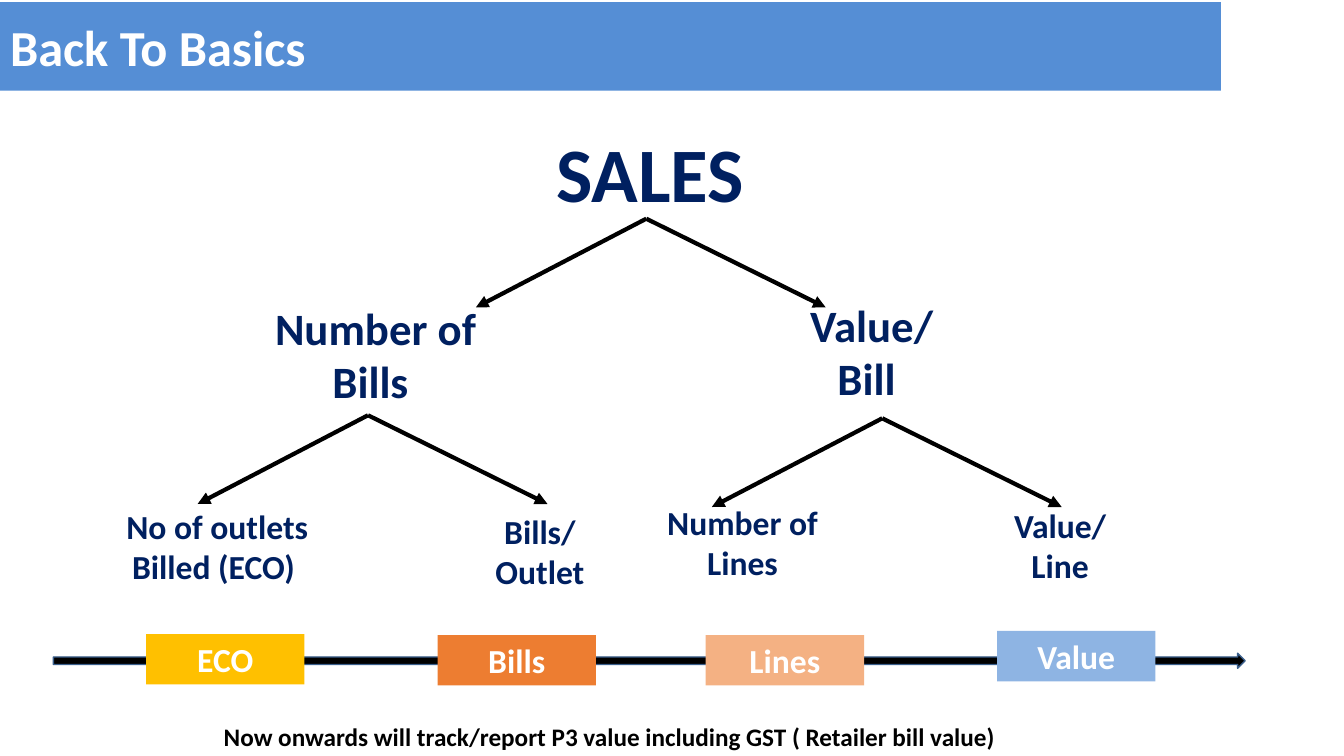
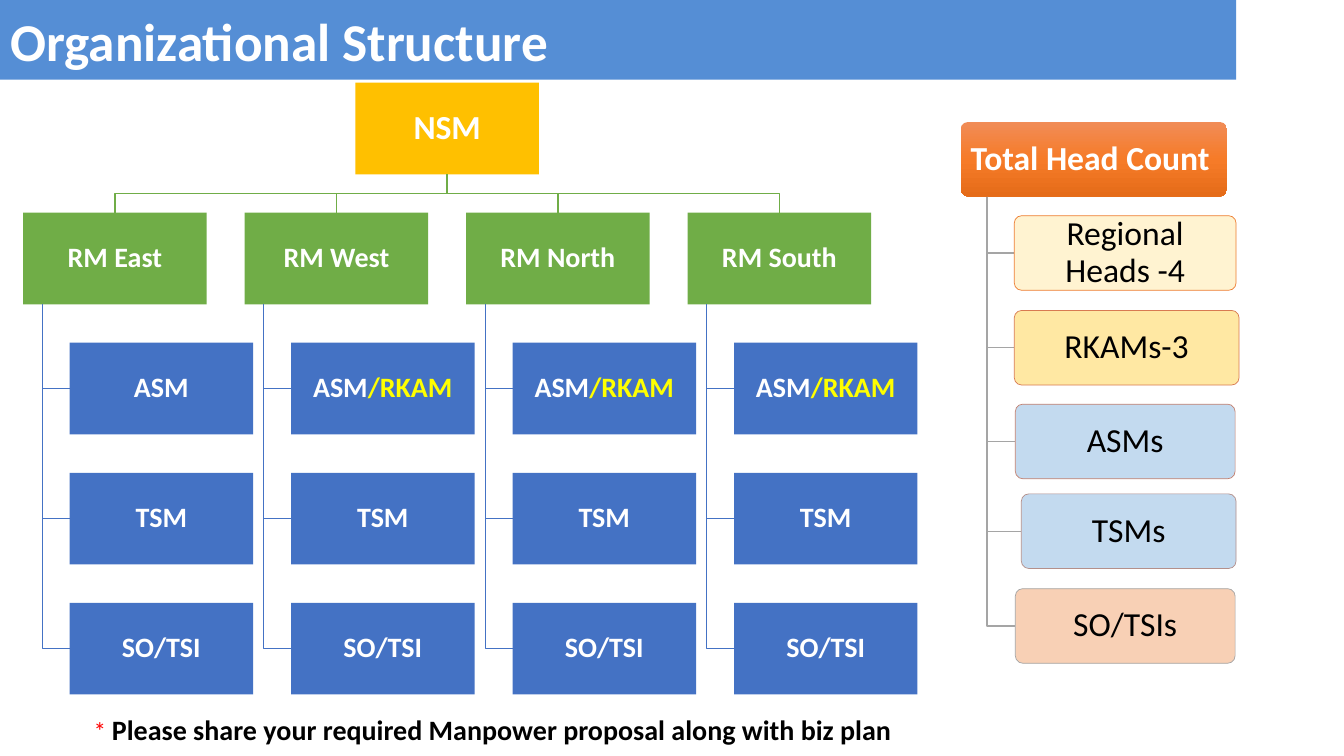
from copy import deepcopy
from dataclasses import dataclass

from lxml import etree
from pptx import Presentation
from pptx.dml.color import RGBColor
from pptx.enum.shapes import MSO_CONNECTOR, MSO_SHAPE
from pptx.enum.text import MSO_ANCHOR, MSO_AUTO_SIZE, PP_ALIGN
from pptx.oxml.ns import qn
from pptx.util import Inches, Pt

RECT = MSO_SHAPE.RECTANGLE
ROUNDED = MSO_SHAPE.ROUNDED_RECTANGLE
RIGHT_ARROW = MSO_SHAPE.RIGHT_ARROW
STRAIGHT = MSO_CONNECTOR.STRAIGHT
LEFT, CENTER = PP_ALIGN.LEFT, PP_ALIGN.CENTER
TOP, MIDDLE = MSO_ANCHOR.TOP, MSO_ANCHOR.MIDDLE
NO_AUTOFIT = MSO_AUTO_SIZE.NONE
TITLE_ONLY = 5


@dataclass(frozen=True)
class Theme:
    font: str = "Calibri"
    banner: str = "558ED5"
    navy: str = "002060"
    white: str = "FFFFFF"
    black: str = "000000"
    red: str = "FF0000"
    yellow: str = "FFFF00"
    amber: str = "FFC000"
    orange: str = "ED7D31"
    peach: str = "F4B183"
    sky: str = "8EB4E3"
    green: str = "70AD47"
    blue: str = "4472C4"
    gray: str = "A5A5A5"
    arrow_edge: str = "3A5F8C"
    cream: str = "FFF2CC"
    straw: str = "FFE699"
    ice: str = "BDD7EE"
    salmon: str = "F8CBAD"
    count_gradient: tuple = ("F18C57", "F67B28", "E56C19")
    count_edges: tuple = ("ED7D31", "D87A51", "C48170", "B4908B", "A5A5A5")
    basics_title_size: int = 36
    structure_title_size: int = 38
    root_size: int = 55
    branch_size: int = 32
    label_size: int = 24
    node_size: int = 20
    note_size: int = 18


THEME = Theme()


@dataclass(frozen=True)
class Box:
    left: float
    top: float
    width: float
    height: float

    def inner(self, dx, dy, width, height):
        return Box(self.left + dx, self.top + dy, width, height)

    def point(self, dx, dy):
        return Inches(self.left + dx), Inches(self.top + dy)

    def emu(self):
        return [Inches(v) for v in (self.left, self.top, self.width, self.height)]


def rgb(color):
    return RGBColor.from_string(color)


def write(holder, text, size=THEME.label_size, color=THEME.white, bold=True,
          align=CENTER, anchor=MIDDLE, inset=(0.1, 0.05), wrap=True, spacing=None):
    frame = holder.text_frame
    frame.auto_size = NO_AUTOFIT
    frame.word_wrap = wrap
    frame.vertical_anchor = anchor
    frame.margin_left = frame.margin_right = Inches(inset[0])
    frame.margin_top = frame.margin_bottom = Inches(inset[1])
    lines = [[(line, {})] for line in text.split("\n")] if isinstance(text, str) else [text]
    for index, line in enumerate(lines):
        paragraph = frame.add_paragraph() if index else frame.paragraphs[0]
        paragraph.alignment = align
        if spacing:
            paragraph.line_spacing = spacing
        for words, style in line:
            run = paragraph.add_run()
            run.text = words
            run.font.name = THEME.font
            run.font.size = Pt(style.get("size", size))
            run.font.bold = style.get("bold", bold)
            run.font.color.rgb = rgb(style.get("color", color))


def add_label(slide, box, text, **style):
    write(slide.shapes.add_textbox(*box.emu()), text, **{"anchor": TOP, **style})


def add_block(slide, kind, box, fill, edge=None, edge_width=1):
    block = slide.shapes.add_shape(kind, *box.emu())
    block.shadow.inherit = False
    block.fill.solid()
    block.fill.fore_color.rgb = rgb(fill)
    if edge:
        block.line.color.rgb = rgb(edge)
        block.line.width = Pt(edge_width)
    else:
        block.line.fill.background()
    return block


def add_arrow(slide, start, end):
    arrow = slide.shapes.add_connector(STRAIGHT, *start, *end)
    arrow.line.color.rgb = rgb(THEME.black)
    arrow.line.width = Pt(3)
    outline = arrow._element.spPr.find(qn("a:ln"))
    etree.SubElement(outline, qn("a:tailEnd"), type="triangle")
    etree.SubElement(arrow._element.spPr, qn("a:effectLst"))


def add_elbow(slide, points, color):
    builder = slide.shapes.build_freeform(*points[0])
    builder.add_line_segments(points[1:], close=False)
    elbow = builder.convert_to_shape()
    elbow.shadow.inherit = False
    elbow.fill.background()
    elbow.line.color.rgb = rgb(color)
    elbow.line.width = Pt(1)


def add_banner_slide(deck, title, box, size):
    slide = deck.slides.add_slide(deck.slide_layouts[TITLE_ONLY])
    banner = slide.shapes.title
    banner.left, banner.top, banner.width, banner.height = box.emu()
    banner.fill.solid()
    banner.fill.fore_color.rgb = rgb(THEME.banner)
    write(banner, title, size=size, align=LEFT)
    return slide


def add_sales_tree(slide, box):
    root, branch, leaf = THEME.root_size, THEME.branch_size, THEME.label_size
    for text, dx, dy, width, height, size in (
        ("SALES", 0.85, 0, 8.94, 1.03, root),
        ("Number of Bills ", 1.34, 1.73, 2.51, 1.18, branch),
        ("Value/\nBill ", 6.26, 1.7, 2.51, 1.18, branch),
        ("No of outlets Billed (ECO) ", 0, 3.77, 2.05, 0.91, leaf),
        ("Bills/\nOutlet", 3.12, 3.82, 2.21, 0.91, leaf),
        ("Number of Lines", 5.35, 3.73, 1.77, 0.91, leaf),
        ("Value/\nLine", 8.5, 3.76, 1.77, 0.91, leaf),
    ):
        add_label(slide, box.inner(dx, dy, width, height), text, size=size, color=THEME.navy)
    for dx, dy in ((5.28, 0.97), (2.52, 2.92), (7.62, 2.95)):
        for reach in (-1.69, 1.78):
            add_arrow(slide, box.point(dx, dy), box.point(dx + reach, dy + 0.88))


def add_measure_line(slide, box):
    axis = box.inner(0, 0.22, box.width, 0.15)
    add_block(slide, RIGHT_ARROW, axis, THEME.black, THEME.arrow_edge)
    for text, dx, dy, fill in (
        ("ECO", 0.92, 0.03, THEME.amber),
        ("Bills", 3.81, 0.04, THEME.orange),
        ("Lines", 6.47, 0.04, THEME.peach),
        ("Value", 9.36, 0, THEME.sky),
    ):
        measure = add_block(slide, RECT, box.inner(dx, dy, 1.57, 0.5), fill)
        write(measure, text, anchor=TOP)


def add_org_chart(slide, box):
    width, height = 1.82, 0.91
    indent, stem = 0.46, 0.19
    regions = ("East", "West", "North", "South")
    column_step = (box.width - width) / (len(regions) - 1)
    row_step = 1.29
    center = box.width / 2

    def add_node(dx, dy, text, fill, size=THEME.node_size):
        node = add_block(slide, RECT, box.inner(dx, dy, width, height), fill)
        write(node, text, size=size, inset=(0.01, 0.01), spacing=0.9)

    add_node(center - width / 2, 0, "NSM", THEME.amber, THEME.label_size)
    bus = (height + row_step) / 2
    for column, region in enumerate(regions):
        left = column * column_step
        middle = left + width / 2
        route = ((center, height), (center, bus), (middle, bus), (middle, row_step))
        add_elbow(slide, [box.point(*p) for p in route], THEME.green)
        add_node(left, row_step, f"RM {region}", THEME.green)
        key_accounts = [("/RKAM", {"color": THEME.yellow})] if column else []
        reports = ([("ASM", {}), *key_accounts], "TSM", "SO/TSI")
        for row, report in enumerate(reports, start=2):
            top = row * row_step
            route = ((left + stem, row_step + height), (left + stem, top + height / 2),
                     (left + indent, top + height / 2))
            add_elbow(slide, [box.point(*p) for p in route], THEME.blue)
            add_node(left + indent, top, report, THEME.blue)


def apply_gradient(block, colors):
    block.fill.gradient()
    block.fill.gradient_angle = 270
    stops = block._element.spPr.find(".//" + qn("a:gsLst"))
    stops.insert(1, deepcopy(stops[0]))
    for index, (stop, color) in enumerate(zip(block.fill.gradient_stops, colors)):
        stop.color.rgb = rgb(color)
        stop.position = index / 2


def set_opacity(block, percent):
    color = block._element.spPr.find(qn("a:solidFill"))[0]
    etree.SubElement(color, qn("a:alpha"), val=str(percent * 1000))


def add_head_count(slide, box):
    height, stem = 0.74, 0.26
    style = {"inset": (0.07, 0.05), "spacing": 0.9}

    header = add_block(slide, ROUNDED, box.inner(0, 0, box.width, height), THEME.orange)
    header.adjustments[0] = 0.1
    apply_gradient(header, THEME.count_gradient)
    write(header, "Total Head Count ", **style)
    roles = (
        ("Regional Heads -4", 0.53, 0.93, 2.2, THEME.cream),
        ("RKAMs-3", 0.53, 1.87, 2.23, THEME.straw),
        ("ASMs", 0.54, 2.8, 2.18, THEME.ice),
        ("TSMs", 0.6, 3.69, 2.13, THEME.ice),
        ("SO/TSIs", 0.54, 4.63, 2.18, THEME.salmon),
    )
    for (text, dx, dy, width, fill), edge in zip(roles, THEME.count_edges):
        middle = dy + height / 2
        route = ((stem, height), (stem, middle), (dx, middle))
        add_elbow(slide, [box.point(*p) for p in route], THEME.gray)
        role = add_block(slide, ROUNDED, box.inner(dx, dy, width, height), fill, edge, 0.5)
        role.adjustments[0] = 0.1
        set_opacity(role, 90)
        write(role, text, color=THEME.black, bold=False, **style)


def add_note(slide, box, text, size):
    add_label(slide, box, text, size=size, color=THEME.black, align=LEFT, wrap=False)


def build_basics(deck):
    slide = add_banner_slide(deck, "Back To Basics", Box(0, 0.02, 12.11, 0.88),
                             THEME.basics_title_size)
    add_sales_tree(slide, Box(1.13, 1.2, 10.27, 4.73))
    add_measure_line(slide, Box(0.53, 6.26, 11.82, 0.54))
    add_note(slide, Box(2.12, 7.11, 7.91, 0.4),
             "Now onwards will track/report P3 value including GST ( Retailer bill value)",
             THEME.note_size)


def build_structure(deck):
    slide = add_banner_slide(deck, "Organizational Structure", Box(0, 0, 12.26, 0.79),
                             THEME.structure_title_size)
    add_org_chart(slide, Box(0.23, 0.82, 8.41, 6.07))
    add_head_count(slide, Box(9.53, 1.21, 2.64, 5.37))
    asterisk = {"size": THEME.note_size, "color": THEME.red, "bold": False}
    request = "Please share your required Manpower proposal along with biz plan"
    add_note(slide, Box(0.83, 7.02, 8.12, 0.44), [("* ", asterisk), (request, {})],
             THEME.node_size)


def main():
    deck = Presentation()
    deck.slide_width, deck.slide_height = Inches(13.33), Inches(7.5)
    build_basics(deck)
    build_structure(deck)
    deck.save("out.pptx")


if __name__ == "__main__":
    main()
